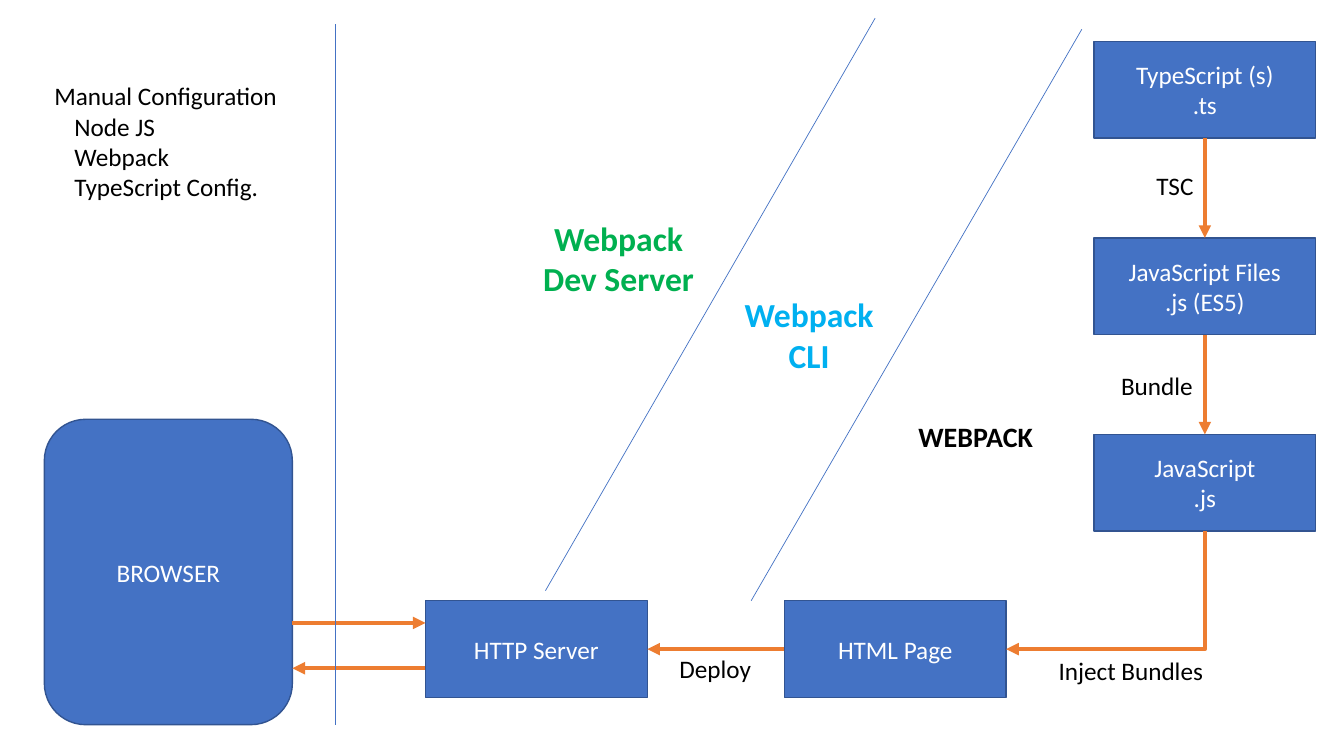
import pptx
import pptx.util
import pptx.dml.color
import pptx.enum.shapes
import pptx.enum.text
import pptx.oxml
import pptx.oxml.ns
import pptx.oxml.xmlchemy

Inches = pptx.util.Inches
Pt = pptx.util.Pt
RGB = pptx.dml.color.RGBColor.from_string
Kind = pptx.enum.shapes.MSO_SHAPE
Link = pptx.enum.shapes.MSO_CONNECTOR
Align = pptx.enum.text.PP_ALIGN
Node = pptx.oxml.xmlchemy.OxmlElement
qn = pptx.oxml.ns.qn

hues = {"blue": "4472C4", "edge": "325491", "orange": "ED7D31", "white": "FFFFFF",
        "black": "000000", "sky": "00B0F0", "green": "00B050"}

deck = pptx.Presentation()
deck.slide_width, deck.slide_height = Inches(13.33), Inches(7.5)
slide = deck.slides.add_slide(deck.slide_layouts[6])


def write(frame, lines, size, hue, bold=False, align=Align.LEFT):
    for i, line in enumerate(lines):
        para = frame.paragraphs[0] if i == 0 else frame.add_paragraph()
        para.alignment = align
        if line.startswith("\t"):
            tabs = pptx.oxml.parse_xml(
                f'<a:tabLst {pptx.oxml.ns.nsdecls("a")}><a:tab pos="{Inches(0.2)}" algn="l"/></a:tabLst>')
            para._p.get_or_add_pPr().append(tabs)
        run = para.add_run()
        run.text = line
        run.font.name, run.font.size, run.font.bold = "Calibri", Pt(size), bold
        run.font.color.rgb = RGB(hues[hue])


def draw(start, end, hue, width, kind=Link.STRAIGHT):
    line = slide.shapes.add_connector(kind, *[Inches(n) for n in start + end])
    line.line.color.rgb = RGB(hues[hue])
    line.line.width = Pt(width)
    line._element.spPr.append(Node("a:effectLst"))
    if hue == "orange":
        head = Node("a:tailEnd")
        head.set("type", "triangle")
        line._element.spPr.find(qn("a:ln")).append(head)
    return line


# Boxes
wide, high = 2.2, 0.96
right, base = 10.85, 5.96
boxes = {}
for name, x, y, w, h, kind, lines in [
    ("ts", right, 0.41, wide, high, Kind.RECTANGLE, ["TypeScript (s)", ".ts"]),
    ("es", right, 2.36, wide, high, Kind.RECTANGLE, ["JavaScript Files", ".js (ES5)"]),
    ("js", right, 4.31, wide, high, Kind.RECTANGLE, ["JavaScript", ".js"]),
    ("page", 7.78, base, wide, high, Kind.RECTANGLE, ["HTML Page"]),
    ("server", 4.22, base, wide, high, Kind.RECTANGLE, ["HTTP Server"]),
    ("browser", 0.44, 4.16, 2.46, 3.03, Kind.ROUNDED_RECTANGLE, ["BROWSER"]),
]:
    box = slide.shapes.add_shape(kind, Inches(x), Inches(y), Inches(w), Inches(h))
    box.shadow.inherit = False
    box.fill.solid()
    box.fill.fore_color.rgb = RGB(hues["blue"])
    box.line.color.rgb = RGB(hues["edge"])
    box.line.width = Pt(1)
    box.text_frame.vertical_anchor = pptx.enum.text.MSO_ANCHOR.MIDDLE
    write(box.text_frame, lines, 18, "white", align=Align.CENTER)
    boxes[name] = box

# Arrows joined to boxes
for first, out, last, into, start, end in [
    ("ts", 2, "es", 0, (11.95, 1.37), (11.95, 2.36)),
    ("es", 2, "js", 0, (11.95, 3.32), (11.95, 4.31)),
    ("page", 1, "server", 3, (7.78, 6.44), (6.42, 6.44)),
]:
    arrow = draw(start, end, "orange", 3)
    arrow.begin_connect(boxes[first], out)
    arrow.end_connect(boxes[last], into)

# Bent arrow: one corner, turned a quarter so it runs down and then left
bend = draw((11.95, 5.27), (9.98, 6.44), "orange", 3, Link.ELBOW)
bend.begin_connect(boxes["js"], 2)
bend.end_connect(boxes["page"], 3)
bend.left, bend.top = Inches(10.38), Inches(4.87)
bend.width, bend.height = Inches(1.17), Inches(1.97)
form = bend._element.spPr.find(qn("a:xfrm"))
form.set("rot", str(90 * 60000))
form.set("flipH", "0")
bend._element.spPr.find(qn("a:prstGeom")).set("prst", "bentConnector2")

# Request and response
draw((2.9, 6.18), (4.22, 6.18), "orange", 3)
draw((4.22, 6.63), (2.9, 6.63), "orange", 3)

# Dividers
for start, end in [((10.73, 0.29), (7.45, 5.96)),
                   ((8.68, 0.18), (5.41, 5.86)),
                   ((3.33, 0.24), (3.33, 7.19))]:
    draw(start, end, "blue", 0.5)

# Labels
setup = ["Manual Configuration", "\tNode JS", "\tWebpack", "\tTypeScript Config."]
for x, y, w, h, lines, size, hue, bold, align in [
    (11.37, 1.64, 0.57, 0.4, ["TSC"], 18, "black", False, Align.LEFT),
    (11.02, 3.62, 0.92, 0.4, ["Bundle"], 18, "black", False, Align.LEFT),
    (10.4, 6.45, 1.65, 0.4, ["Inject Bundles"], 18, "black", False, Align.LEFT),
    (6.64, 6.43, 0.92, 0.4, ["Deploy"], 18, "black", False, Align.LEFT),
    (0.44, 0.75, 2.44, 1.31, setup, 18, "black", False, Align.LEFT),
    (9.01, 4.11, 1.35, 0.44, ["WEBPACK"], 20, "black", True, Align.LEFT),
    (7.28, 2.87, 1.49, 0.91, ["Webpack", "CLI"], 24, "sky", True, Align.CENTER),
    (5.28, 2.11, 1.71, 0.91, ["Webpack", "Dev Server"], 24, "green", True, Align.CENTER),
]:
    frame = slide.shapes.add_textbox(Inches(x), Inches(y), Inches(w), Inches(h)).text_frame
    frame.word_wrap = False
    frame.auto_size = pptx.enum.text.MSO_AUTO_SIZE.SHAPE_TO_FIT_TEXT
    write(frame, lines, size, hue, bold, align)

deck.save("out.pptx")
